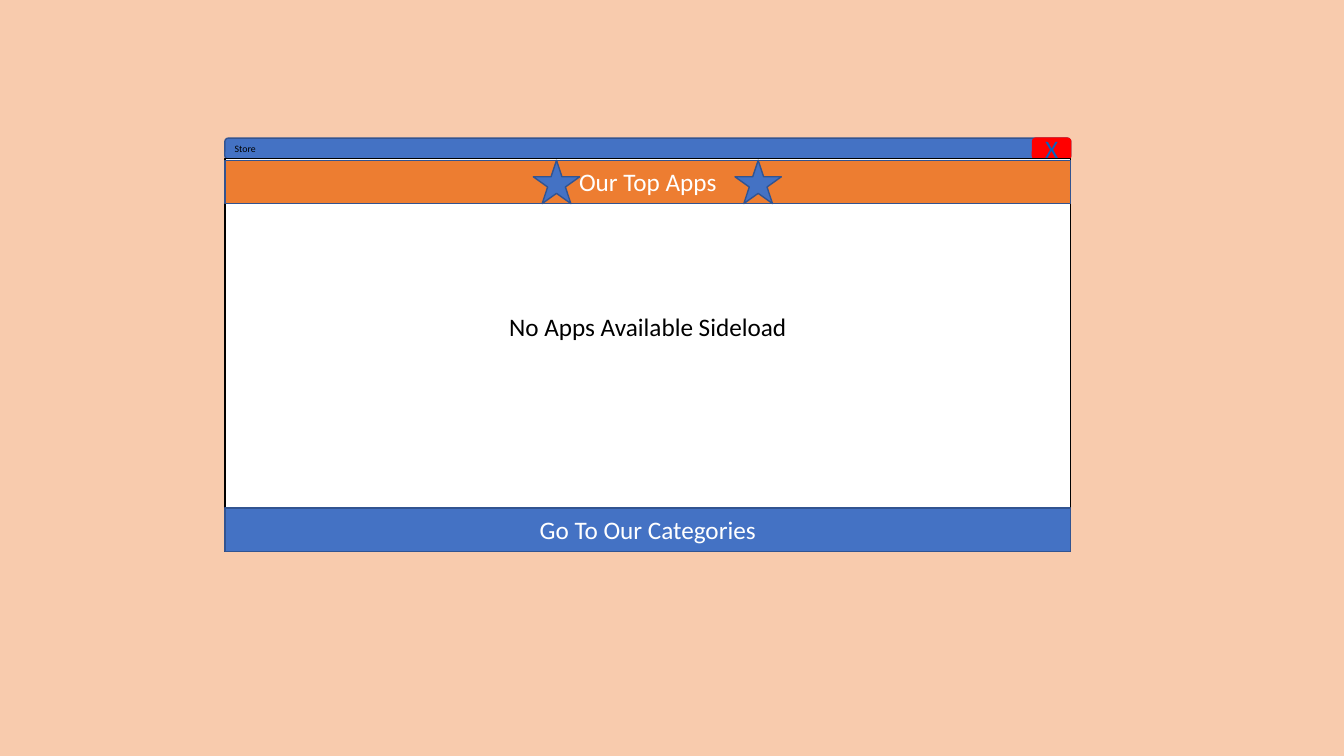
from dataclasses import dataclass

from pptx import Presentation
from pptx.dml.color import RGBColor
from pptx.enum.shapes import MSO_SHAPE
from pptx.enum.text import MSO_ANCHOR, PP_ALIGN
from pptx.util import Inches, Pt

RECT = MSO_SHAPE.RECTANGLE
ROUND = MSO_SHAPE.ROUNDED_RECTANGLE
STAR = MSO_SHAPE.STAR_5_POINT
LEFT, CENTER = PP_ALIGN.LEFT, PP_ALIGN.CENTER
TOP, MIDDLE = MSO_ANCHOR.TOP, MSO_ANCHOR.MIDDLE


@dataclass(frozen=True)
class Theme:
    font: str = "Calibri"
    peach: str = "F8CBAD"
    blue: str = "4472C4"
    edge: str = "325491"
    orange: str = "ED7D31"
    red: str = "FF0000"
    link: str = "0563C1"
    white: str = "FFFFFF"
    black: str = "000000"
    body: int = 18
    small: int = 7


theme = Theme()

deck = Presentation()
deck.slide_width, deck.slide_height = Inches(13.33), Inches(7.5)
slide = deck.slides.add_slide(deck.slide_layouts[6])


def add_block(kind, x, y, w, h, fill, line):
    block = slide.shapes.add_shape(kind, Inches(x), Inches(y), Inches(w), Inches(h))
    block.shadow.inherit = False
    block.fill.solid()
    block.fill.fore_color.rgb = RGBColor.from_string(fill)
    block.line.color.rgb = RGBColor.from_string(line)
    block.line.width = Pt(1)
    return block


def write(shape, text, color, size=theme.body, align=CENTER, anchor=MIDDLE):
    frame = shape.text_frame
    frame.word_wrap = True
    frame.vertical_anchor = anchor
    para = frame.paragraphs[0]
    para.text = text
    para.alignment = align
    para.font.name = theme.font
    para.font.size = Pt(size)
    para.font.color.rgb = RGBColor.from_string(color)
    return para


# Window frame: shared left edge, width and band height
left, top, width = 2.23, 1.37, 8.39
bar, band = 0.21, 0.43
head, foot = 1.59, 5.04

# Backdrop
add_block(RECT, 0, 0, 13.33, 7.5, theme.peach, theme.peach)

# Title bar with close button
add_block(ROUND, left, top, width, bar, theme.blue, theme.edge)
close = add_block(ROUND, 10.24, top, 0.38, bar, theme.red, theme.red)
write(close, "X", theme.link).font.underline = True
title = slide.shapes.add_textbox(Inches(left), Inches(top), Inches(2.5), Inches(0.22))
write(title, "Store", theme.black, theme.small, LEFT, TOP)

# Window body
add_block(RECT, left, 1.57, width, 3.9, theme.white, theme.black)

# Heading band with stars
banner = add_block(RECT, left, head, width, band, theme.orange, theme.edge)
write(banner, "Our Top Apps", theme.white)
for x in (7.29, 5.29):
    add_block(STAR, x, head, 0.46, band, theme.blue, theme.edge)

# Footer band
footer = add_block(RECT, left, foot, width, band, theme.blue, theme.edge)
write(footer, "Go To Our Categories", theme.white)

# Empty-store message
notice = slide.shapes.add_textbox(Inches(2.42), Inches(3.04), Inches(8.01), Inches(0.4))
write(notice, "No Apps Available Sideload", theme.black, anchor=TOP)

deck.save("out.pptx")
